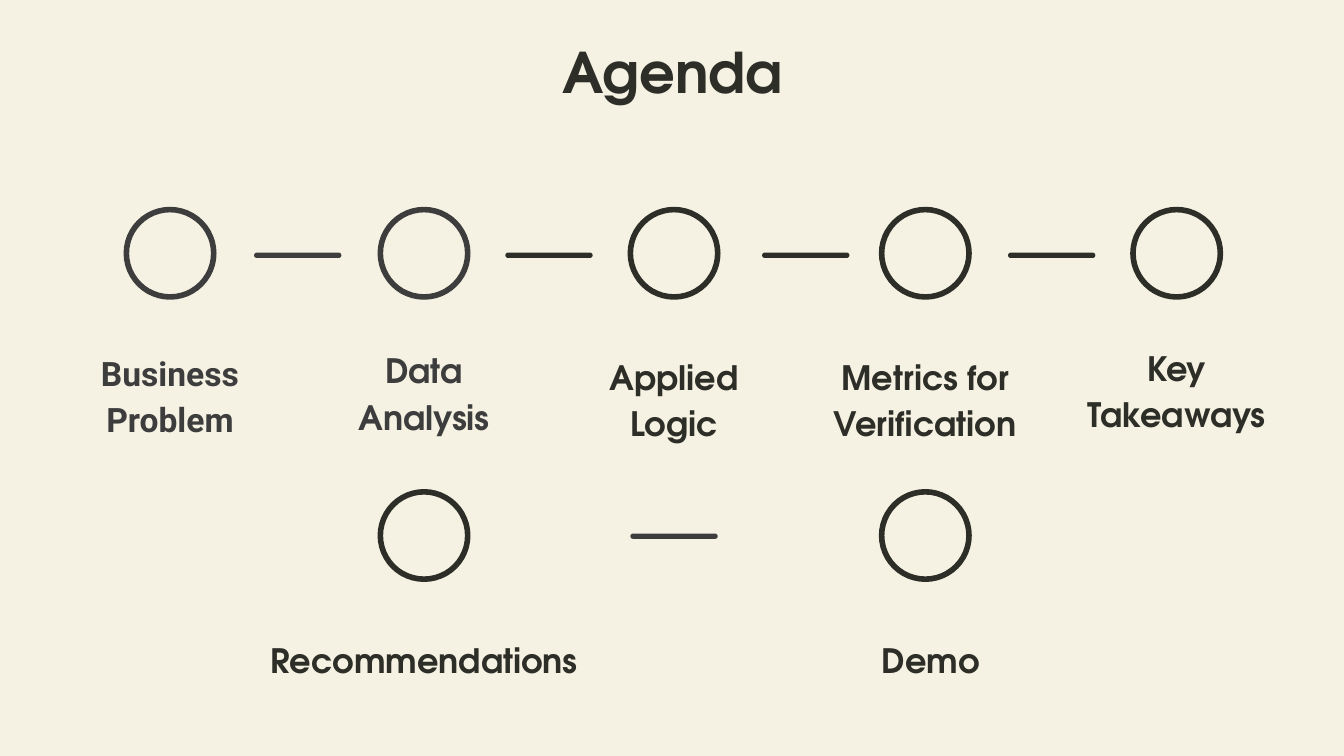
from dataclasses import dataclass

from pptx import Presentation
from pptx.dml.color import RGBColor
from pptx.enum import shapes, text
from pptx.util import Inches, Pt


@dataclass(frozen=True)
class Theme:
    background: str = "F6F2E3"
    dark: str = "2D2E27"
    gray: str = "3D3D3D"
    font: str = "TeX Gyre Adventor"
    plain_font: str = "Roboto"
    title_size: int = 30
    label_size: int = 18
    outline: int = 3


THEME = Theme()
MIDDLE, BOTTOM = text.MSO_ANCHOR.MIDDLE, text.MSO_ANCHOR.BOTTOM

SLIDE_WIDTH = 10
SLIDE_HEIGHT = SLIDE_WIDTH * 9 / 16
CIRCLE = 0.65
COLUMN_LEFTS = (0.94, 2.83, 4.69, 6.56, 8.43)
ROW_TOPS = (1.56, 3.66)
DASH_WIDTH, DASH_HEIGHT = 0.65, 0.04

# label, column, row, colour, font, (label top, width, height), anchor, label shift
STEPS = [
    ("Business Problem", 0, 0, THEME.gray, THEME.plain_font, (2.52, 1.73, 0.81), MIDDLE, 0),
    ("Data Analysis", 1, 0, THEME.gray, THEME.font, (2.33, 1.68, 1.15), MIDDLE, 0),
    ("Applied Logic", 2, 0, THEME.dark, THEME.font, (2.91, 1.68, 0.49), BOTTOM, 0),
    ("Metrics for Verification", 3, 0, THEME.dark, THEME.font, (2.91, 1.68, 0.49), BOTTOM, 0),
    ("Key Takeaways", 4, 0, THEME.dark, THEME.font, (2.75, 1.68, 0.58), BOTTOM, 0),
    ("Recommendations", 1, 1, THEME.dark, THEME.font, (4.67, 2.83, 0.49), BOTTOM, 0),
    ("Demo", 3, 1, THEME.dark, THEME.font, (4.93, 1.68, 0.23), BOTTOM, 0.04),
]

# left, top, colour
DASHES = [
    (1.89, 1.88, THEME.gray),
    (3.76, 1.88, THEME.dark),
    (5.67, 1.88, THEME.dark),
    (7.5, 1.88, THEME.dark),
    (4.69, 3.97, THEME.gray),
]


def add_text(parent, content, box, *, size, color=THEME.dark, font=THEME.font,
             anchor=BOTTOM, spacing=None):
    frame = parent.shapes.add_textbox(*map(Inches, box)).text_frame
    frame.word_wrap = True
    frame.vertical_anchor = anchor
    frame.margin_left = frame.margin_right = Inches(0.1)
    frame.margin_top = frame.margin_bottom = Inches(0.1)
    paragraph = frame.paragraphs[0]
    paragraph.alignment = text.PP_ALIGN.CENTER
    paragraph.line_spacing = spacing
    run = paragraph.add_run()
    run.text = content
    run.font.name = font
    run.font.size = Pt(size)
    run.font.bold = True
    run.font.color.rgb = RGBColor.from_string(color)


def add_circle(parent, left, top, color):
    circle = parent.shapes.add_shape(
        shapes.MSO_SHAPE.OVAL, *map(Inches, (left, top, CIRCLE, CIRCLE)))
    circle.shadow.inherit = False
    circle.fill.background()
    circle.line.color.rgb = RGBColor.from_string(color)
    circle.line.width = Pt(THEME.outline)


def add_dash(slide, left, top, color):
    dash = slide.shapes.add_shape(
        shapes.MSO_SHAPE.ROUNDED_RECTANGLE,
        *map(Inches, (left, top, DASH_WIDTH, DASH_HEIGHT)))
    dash.adjustments[0] = 0.5
    dash.shadow.inherit = False
    dash.fill.solid()
    dash.fill.fore_color.rgb = RGBColor.from_string(color)
    dash.line.fill.background()


def add_step(slide, label, column, row, color, font, label_box, anchor, shift):
    """Group a circle with the label centred below it."""
    group = slide.shapes.add_group_shape()
    left = COLUMN_LEFTS[column]
    add_circle(group, left, ROW_TOPS[row], color)
    top, width, height = label_box
    label_left = left + (CIRCLE - width) / 2 + shift
    add_text(group, label, (label_left, top, width, height), size=THEME.label_size,
             color=color, font=font, anchor=anchor, spacing=1.15)


def main():
    presentation = Presentation()
    presentation.slide_width = Inches(SLIDE_WIDTH)
    presentation.slide_height = Inches(SLIDE_HEIGHT)
    slide = presentation.slides.add_slide(presentation.slide_layouts[6])
    slide.background.fill.solid()
    slide.background.fill.fore_color.rgb = RGBColor.from_string(THEME.background)

    add_text(slide, "Agenda", (0.79, 0.35, 8.43, 0.53), size=THEME.title_size)
    for step in STEPS:
        add_step(slide, *step)
    for dash in DASHES:
        add_dash(slide, *dash)

    presentation.save("out.pptx")


if __name__ == "__main__":
    main()
